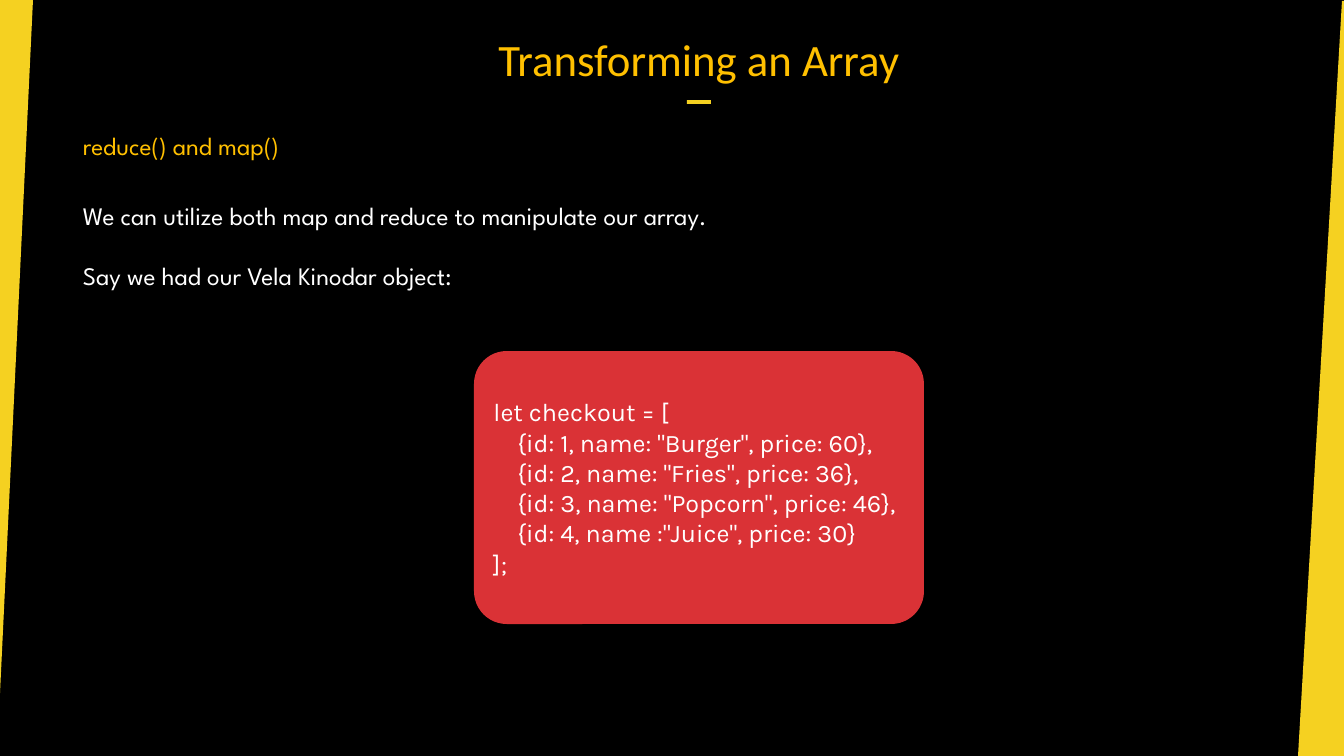
from pptx import Presentation
from pptx.dml.color import RGBColor
from pptx.enum.shapes import MSO_SHAPE
from pptx.enum.text import MSO_ANCHOR, PP_ALIGN

RECT, ROUNDED = MSO_SHAPE.RECTANGLE, MSO_SHAPE.ROUNDED_RECTANGLE
LEFT, CENTER = PP_ALIGN.LEFT, PP_ALIGN.CENTER
MIDDLE, BOTTOM = MSO_ANCHOR.MIDDLE, MSO_ANCHOR.BOTTOM
PX = 914400 / 100.8
WIDTH, HEIGHT = 1344, 756
COLORS = {"back": "000000", "strip": "F5D121", "gold": "FFC000",
          "text": "FFFFFF", "card": "DA3236"}
CODE = [
    (0, "let checkout = ["),
    (1, '{id: 1, name: "Burger", price: 60},'),
    (1, '{id: 2, name: "Fries", price: 36},'),
    (1, '{id: 3, name: "Popcorn", price: 46},'),
    (1, '{id: 4, name :"Juice", price: 30}'),
    (0, "];"),
]


def px(n):
    return round(n * PX)


def rgb(name):
    return RGBColor.from_string(COLORS[name])


def paint(sp, color):
    sp.shadow.inherit = False
    sp.fill.solid()
    sp.fill.fore_color.rgb = rgb(color)
    sp.line.fill.background()


def write(tf, lines, font, size, color, align=LEFT, gap=0):
    """Fill a text frame with one paragraph per line, gap points apart."""
    tf.word_wrap = True
    for i, line in enumerate(lines):
        p = tf.add_paragraph() if i else tf.paragraphs[0]
        p.text = line
        p.alignment = align
        p.space_before = px(0)
        if i and gap:
            p.space_before = round(gap * 12700)
        p.font.name = font
        p.font.size = size * 12700
        p.font.color.rgb = rgb(color)


def add_strip(s, points):
    builder = s.shapes.build_freeform(*points[0], scale=PX)
    builder.add_line_segments(points[1:], close=True)
    paint(builder.convert_to_shape(), "strip")


def add_heading(s, x, y, w, h):
    """Place the title in the box and a short dash centred below it."""
    title = s.shapes.title
    title.left, title.top, title.width, title.height = map(px, (x, y, w, h))
    tf = title.text_frame
    tf.vertical_anchor = BOTTOM
    tf.margin_left = tf.margin_right = px(10)
    tf.margin_top, tf.margin_bottom = px(4), 0
    write(tf, ["Transforming an Array"], "Calibri", 32, "gold", CENTER)
    dash_w = 24
    dash = s.shapes.add_shape(RECT, px(x + (w - dash_w) / 2), px(y + h + 14),
                              px(dash_w), px(4))
    paint(dash, "strip")


def add_text(s, x, y, w, h, lines, color, gap=0):
    tf = s.shapes.add_textbox(px(x), px(y), px(w), px(h)).text_frame
    write(tf, lines, "League Spartan", 18, color, gap=gap)


def add_code_card(s, x, y, w, h):
    card = s.shapes.add_shape(ROUNDED, px(x), px(y), px(w), px(h))
    card.adjustments[0] = 0.12
    paint(card, "card")
    tf = card.text_frame
    tf.vertical_anchor = MIDDLE
    write(tf, [line for _, line in CODE], "Karla", 18, "text")
    for p, (level, _) in zip(tf.paragraphs, CODE):
        p._p.get_or_add_pPr().set("marL", str(px(24 * level)))


def build_slide(prs):
    s = prs.slides.add_slide(prs.slide_layouts[5])
    s.background.fill.solid()
    s.background.fill.fore_color.rgb = rgb("back")
    add_strip(s, [(0, 0), (33, 0), (0, 694)])
    add_strip(s, [(1342, 1), (WIDTH, 1), (WIDTH, HEIGHT), (1298, HEIGHT)])
    add_heading(s, 347, 10, 704, 76)
    add_text(s, 73, 125, 1185, 40, ["reduce() and map()"], "gold")
    add_text(s, 73, 195, 1170, 102,
             ["We can utilize both map and reduce to manipulate our array.",
              "Say we had our Vela Kinodar object:"], "text", gap=21.5)
    add_code_card(s, 474, 351, 450, 273)


def main():
    prs = Presentation()
    prs.slide_width, prs.slide_height = px(WIDTH), px(HEIGHT)
    build_slide(prs)
    prs.save("out.pptx")


if __name__ == "__main__":
    main()
